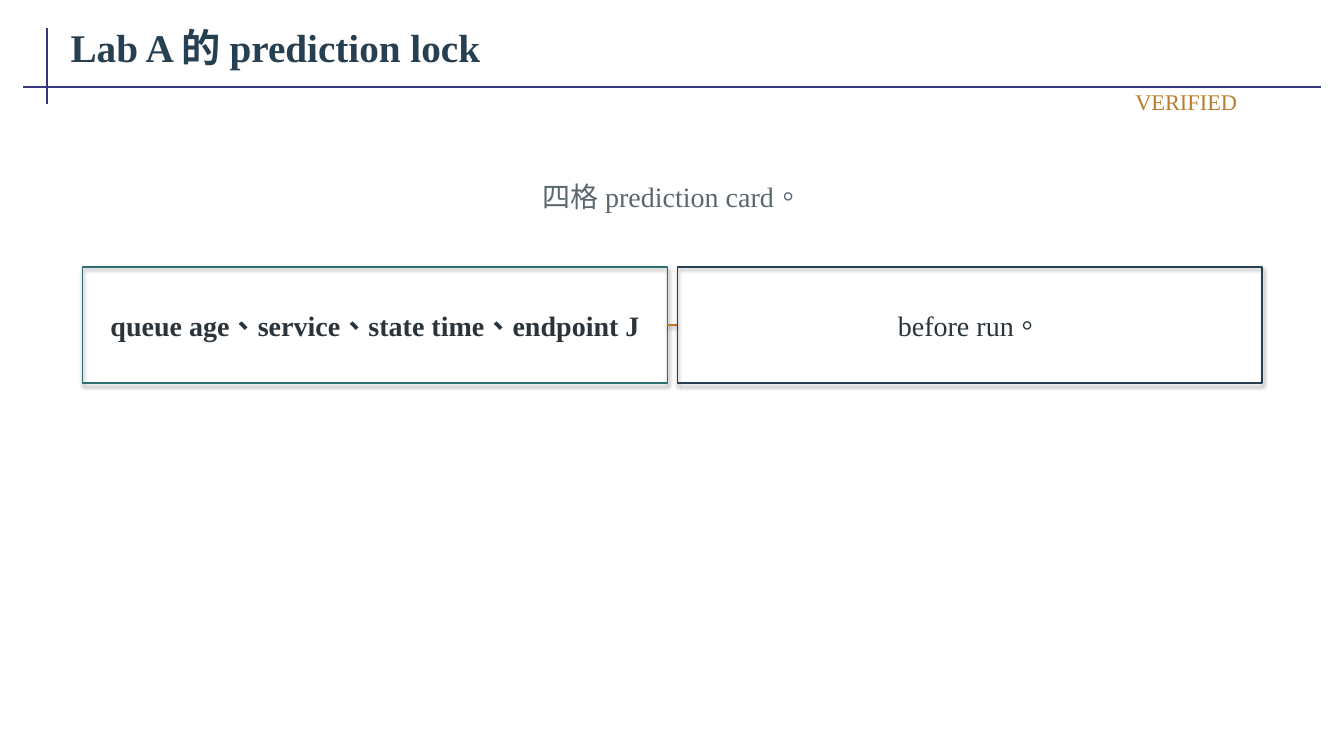
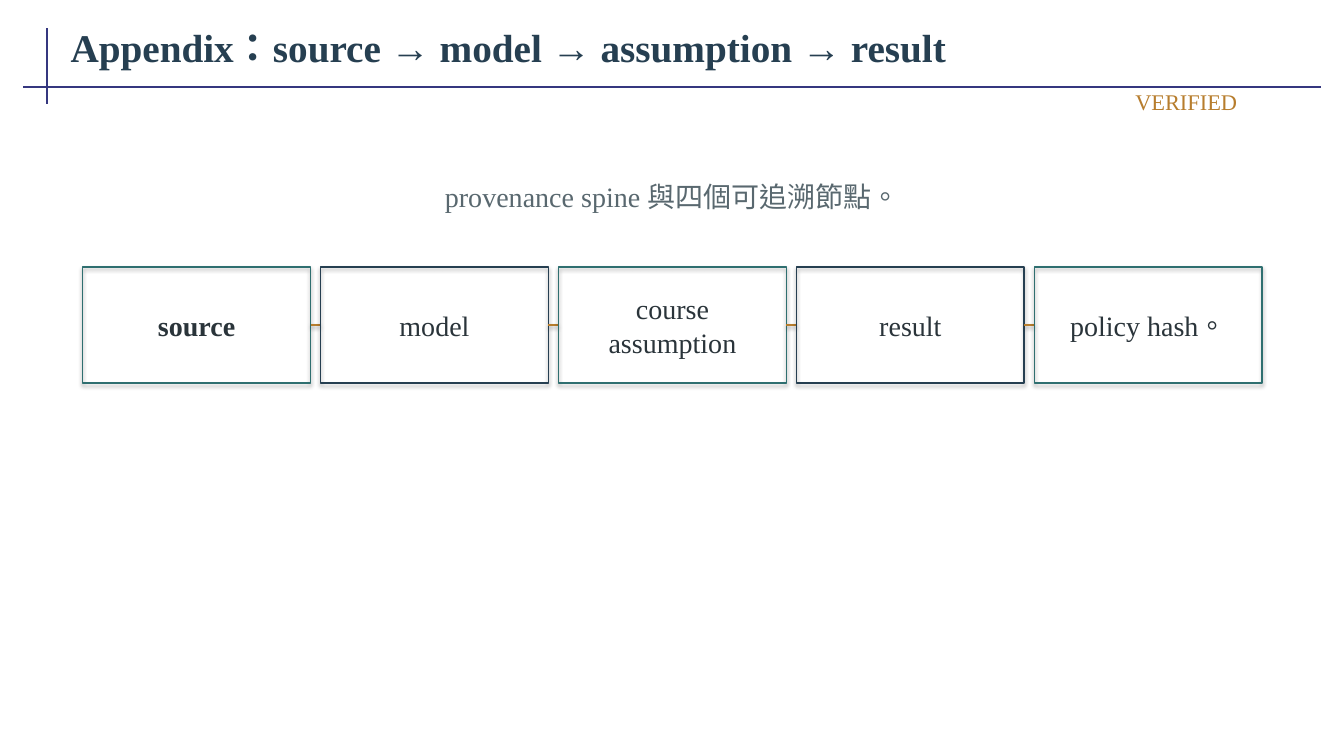
from dataclasses import dataclass

from lxml import etree
from pptx import Presentation
from pptx.dml.color import RGBColor
from pptx.enum.lang import MSO_LANGUAGE_ID
from pptx.enum.shapes import MSO_CONNECTOR, MSO_SHAPE
from pptx.enum.text import MSO_ANCHOR, MSO_AUTO_SIZE, PP_ALIGN
from pptx.oxml.ns import qn
from pptx.util import Inches, Pt

STRAIGHT = MSO_CONNECTOR.STRAIGHT
RECTANGLE = MSO_SHAPE.RECTANGLE
LEFT, CENTER, RIGHT = PP_ALIGN.LEFT, PP_ALIGN.CENTER, PP_ALIGN.RIGHT
CHINESE = MSO_LANGUAGE_ID.TRADITIONAL_CHINESE

SLIDE_WIDTH, SLIDE_HEIGHT = 13.33, 7.5
FONT = "Times New Roman"
RULE, NAVY, TEAL, AMBER, INK, GRAY = "35377F", "263F51", "2F6F70", "B77D2D", "2A343A", "59686F"
CARD_OUTLINES = (TEAL, NAVY)

ROW_LEFT, ROW_TOP, ROW_WIDTH, ROW_HEIGHT = 0.82, 2.65, 11.7, 1.15
CARD_GAP = 0.1
LABEL_INSET_X, LABEL_INSET_Y = 0.05, 0.1

FRAME_FORMAT = {
    "word_wrap": True,
    "vertical_anchor": MSO_ANCHOR.MIDDLE,
    "margin_left": Inches(0.08),
    "margin_right": Inches(0.08),
    "margin_top": Inches(0.04),
    "margin_bottom": Inches(0.04),
}


@dataclass(frozen=True)
class Box:
    left: float
    top: float
    width: float
    height: float

    def lengths(self) -> tuple:
        return tuple(Inches(v) for v in (self.left, self.top, self.width, self.height))


@dataclass(frozen=True)
class TextStyle:
    size: float
    color: str
    align: PP_ALIGN = CENTER
    bold: bool = False
    grow: bool = True


@dataclass(frozen=True)
class CardSlide:
    title: str
    subtitle: str
    cards: tuple[str, ...]


TITLE_BOX = Box(0.62, 0.15, 12.49, 0.62)
SUBTITLE_BOX = Box(0.92, 1.65, 11.5, 0.6)
STATUS_BOX = Box(9.15, 0.86, 3.2, 0.3)

TITLE_STYLE = TextStyle(28, NAVY, LEFT, bold=True, grow=False)
SUBTITLE_STYLE = TextStyle(20, GRAY)
STATUS_STYLE = TextStyle(16, AMBER, RIGHT)
FIRST_CARD_STYLE = TextStyle(20, INK, bold=True)
CARD_STYLE = TextStyle(20, INK)

SLIDES = (
    CardSlide(
        "Lab A 的 prediction lock",
        "四格 prediction card。",
        ("queue age、service、state time、endpoint J", "before run。"),
    ),
    CardSlide(
        "Appendix：source → model → assumption → result",
        "provenance spine 與四個可追溯節點。",
        ("source", "model", "course assumption", "result", "policy hash。"),
    ),
)


def rgb(color: str) -> RGBColor:
    return RGBColor.from_string(color)


def set_shadow(shape, opacity: int = 0, distance: float = 0) -> None:
    """Replace the theme shadow by a downward one, or by none at zero opacity."""
    effects = etree.SubElement(shape._element.spPr, qn("a:effectLst"))
    if opacity:
        shadow = etree.SubElement(
            effects, qn("a:outerShdw"), blurRad=str(Pt(3.1)), dist=str(Pt(distance)),
            dir="5400000", rotWithShape="0",
        )
        black = etree.SubElement(shadow, qn("a:srgbClr"), val="000000")
        etree.SubElement(black, qn("a:alpha"), val=str(opacity * 1000))


def add_text(slide, box: Box, text: str, style: TextStyle) -> None:
    frame = slide.shapes.add_textbox(*box.lengths()).text_frame
    for name, value in FRAME_FORMAT.items():
        setattr(frame, name, value)
    frame.auto_size = MSO_AUTO_SIZE.SHAPE_TO_FIT_TEXT if style.grow else MSO_AUTO_SIZE.NONE
    paragraph = frame.paragraphs[0]
    paragraph.alignment = style.align
    run = paragraph.add_run()
    run.text = text
    font_format = {"name": FONT, "size": Pt(style.size), "bold": style.bold, "language_id": CHINESE}
    for name, value in font_format.items():
        setattr(run.font, name, value)
    run.font.color.rgb = rgb(style.color)


def add_line(slide, start: tuple[float, float], end: tuple[float, float], color: str, width: float):
    line = slide.shapes.add_connector(STRAIGHT, *(Inches(v) for v in (*start, *end)))
    line.line.color.rgb = rgb(color)
    line.line.width = Pt(width)
    return line


def add_card(slide, box: Box, text: str, outline: str, style: TextStyle) -> None:
    card = slide.shapes.add_shape(RECTANGLE, *box.lengths())
    card.fill.background()
    card.line.color.rgb = rgb(outline)
    card.line.width = Pt(1.2)
    set_shadow(card, opacity=35, distance=1.8)
    label = Box(
        box.left + LABEL_INSET_X, box.top + LABEL_INSET_Y,
        box.width - 2 * LABEL_INSET_X, box.height - 2 * LABEL_INSET_Y,
    )
    add_text(slide, label, text, style)


def add_card_row(slide, cards: tuple[str, ...]) -> None:
    """Share the row equally between the cards and link each to the one before."""
    width = (ROW_WIDTH - CARD_GAP * (len(cards) - 1)) / len(cards)
    middle = ROW_TOP + ROW_HEIGHT / 2
    for index, text in enumerate(cards):
        left = ROW_LEFT + index * (width + CARD_GAP)
        if index:
            link = add_line(slide, (left - CARD_GAP, middle), (left, middle), AMBER, 1.2)
            set_shadow(link, opacity=38, distance=1.6)
        outline = CARD_OUTLINES[index % len(CARD_OUTLINES)]
        style = CARD_STYLE if index else FIRST_CARD_STYLE
        add_card(slide, Box(left, ROW_TOP, width, ROW_HEIGHT), text, outline, style)


def add_header(slide, title: str) -> None:
    for start, end in (((0.47, 0.28), (0.47, 1.03)), ((0.23, 0.86), (13.1, 0.86))):
        set_shadow(add_line(slide, start, end, RULE, 1.5))
    add_text(slide, TITLE_BOX, title, TITLE_STYLE)


def main() -> None:
    presentation = Presentation()
    presentation.slide_width = Inches(SLIDE_WIDTH)
    presentation.slide_height = Inches(SLIDE_HEIGHT)
    blank_layout = presentation.slide_layouts[6]
    for content in SLIDES:
        slide = presentation.slides.add_slide(blank_layout)
        add_header(slide, content.title)
        add_card_row(slide, content.cards)
        add_text(slide, SUBTITLE_BOX, content.subtitle, SUBTITLE_STYLE)
        add_text(slide, STATUS_BOX, "VERIFIED", STATUS_STYLE)
    presentation.save("out.pptx")


if __name__ == "__main__":
    main()
